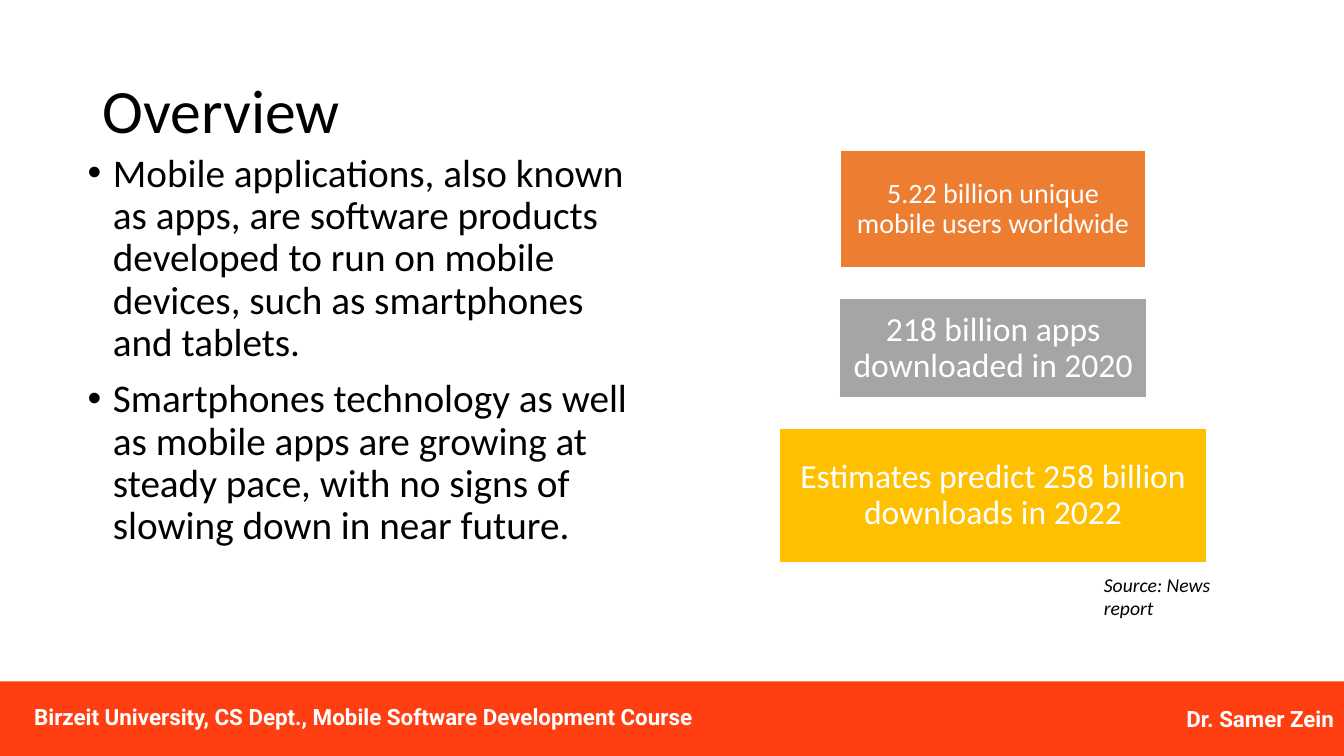
import dataclasses
import pptx
import pptx.dml.color
import pptx.enum.shapes
import pptx.enum.text
import pptx.oxml.xmlchemy
import pptx.util
from lxml import etree

Inches = pptx.util.Inches
Pt = pptx.util.Pt
ALIGN = pptx.enum.text.PP_ALIGN
ANCHOR = pptx.enum.text.MSO_ANCHOR
RECT = pptx.enum.shapes.MSO_SHAPE.RECTANGLE

COLORS = {
    "black": "000000", "white": "FFFFFF", "red": "FF3E11",
    "orange": "ED7D31", "gray": "A5A5A5", "gold": "FFC000",
}


@dataclasses.dataclass
class Style:
    size: float
    color: str = "black"
    font: str = "Calibri"
    bold: bool = False
    italic: bool = False


@dataclasses.dataclass
class Card:
    text: str
    fill: str
    width: float
    height: float
    size: float
    inset: float


def color(name: str) -> pptx.dml.color.RGBColor:
    return pptx.dml.color.RGBColor.from_string(COLORS[name])


def write(para, text: str, style: Style, align=ALIGN.LEFT) -> None:
    para.alignment = align
    run = para.add_run()
    run.text = text
    font = run.font
    font.name, font.size = style.font, Pt(style.size)
    font.bold, font.italic = style.bold, style.italic
    font.color.rgb = color(style.color)


def place(shape, left: float, top: float, width: float, height: float) -> None:
    shape.left, shape.top = Inches(left), Inches(top)
    shape.width, shape.height = Inches(width), Inches(height)


def block(slide, left: float, top: float, width: float, height: float, fill: str):
    shape = slide.shapes.add_shape(
        RECT, Inches(left), Inches(top), Inches(width), Inches(height))
    shape.shadow.inherit = False
    shape.fill.solid()
    shape.fill.fore_color.rgb = color(fill)
    shape.line.fill.background()
    shape.text_frame.word_wrap = True
    shape.text_frame.vertical_anchor = ANCHOR.MIDDLE
    return shape


def label(slide, left: float, top: float, width: float, height: float,
          text: str, style: Style) -> None:
    box = slide.shapes.add_textbox(
        Inches(left), Inches(top), Inches(width), Inches(height))
    box.text_frame.word_wrap = False
    write(box.text_frame.paragraphs[0], text, style)


def bullet(para) -> None:
    props = para._p.get_or_add_pPr()
    props.set("marL", str(Inches(0.25)))
    props.set("indent", str(Inches(-0.25)))
    space = "{http://schemas.openxmlformats.org/drawingml/2006/main}"
    etree.SubElement(props, space + "buFont", typeface="Arial")
    etree.SubElement(props, space + "buChar", char="\u2022")


deck = pptx.Presentation()
deck.slide_width, deck.slide_height = Inches(13.33), Inches(7.5)
slide = deck.slides.add_slide(deck.slide_layouts[1])

# Title
title = slide.shapes.title
place(title, 0.92, 0.4, 11.5, 1.45)
title.text_frame.auto_size = pptx.enum.text.MSO_AUTO_SIZE.NONE
title.text_frame.vertical_anchor = ANCHOR.MIDDLE
head = title.text_frame.paragraphs[0]
head.line_spacing = 0.9
write(head, "Overview", Style(44))

# Bullet list
POINTS = [
    "Mobile applications, also known as apps, are software products "
    "developed to run on mobile devices, such as smartphones and tablets.",
    "Smartphones technology as well as mobile apps are growing at steady "
    "pace, with no signs of slowing down in near future.",
]
body = slide.placeholders[1]
place(body, 0.77, 1.47, 5.6, 4.76)
frame = body.text_frame
frame.auto_size = pptx.enum.text.MSO_AUTO_SIZE.NONE
for i, point in enumerate(POINTS):
    para = frame.add_paragraph() if i else frame.paragraphs[0]
    para.line_spacing, para.space_before = 0.9, Pt(10)
    bullet(para)
    write(para, point, Style(28))

# Footer band
strong = Style(16, "white", "Roboto", bold=True)
band = block(slide, 0, 6.76, 13.33, 0.74, "red")
write(band.text_frame.paragraphs[0], "Dr. Samer Zein", strong, ALIGN.RIGHT)
label(slide, 0.24, 6.93, 6.81, 0.37,
      "Birzeit University, CS Dept., Mobile Software Development Course", strong)

# Stacked cards on one centre line
CARDS = [
    Card("5.22 billion unique mobile users worldwide", "orange", 3.03, 1.17, 20, 0.06),
    Card("218 billion apps downloaded in 2020", "gray", 3.05, 0.99, 24, 0.07),
    Card("Estimates predict 258 billion downloads in 2022", "gold", 4.24, 1.33, 24, 0.07),
]
MID, GAP = 9.85, 0.3
top = 1.49
for card in CARDS:
    shape = block(slide, MID - card.width / 2, top, card.width, card.height, card.fill)
    shape.line.color.rgb = color("white")
    shape.line.width = Pt(1)
    frame = shape.text_frame
    frame.margin_left = frame.margin_right = Inches(card.inset)
    frame.margin_top = frame.margin_bottom = Inches(card.inset)
    para = frame.paragraphs[0]
    para.line_spacing = 0.9
    write(para, card.text, Style(card.size, "white"), ALIGN.CENTER)
    top += card.height + GAP

# Source note
label(slide, 10.85, 5.63, 1.77, 0.34, "Source: News report", Style(14, italic=True))

deck.save("out.pptx")
